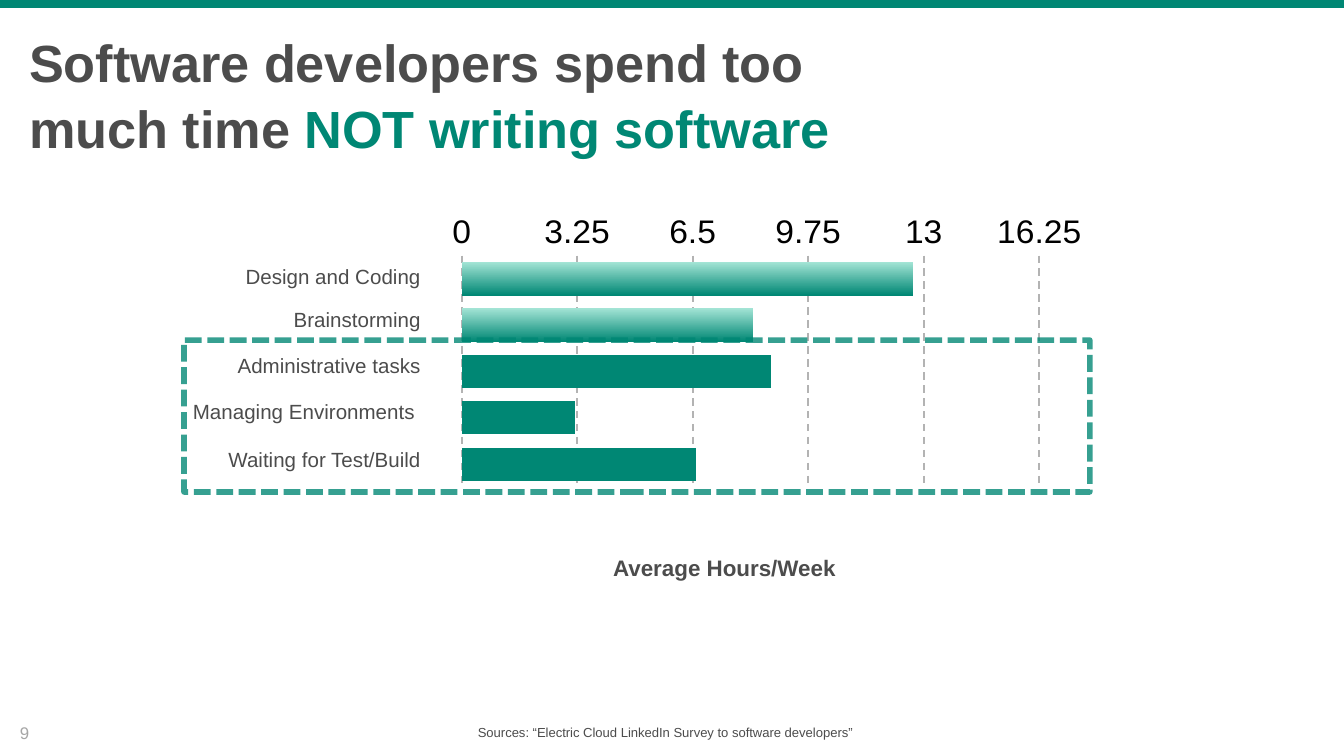
from lxml import etree
from pptx import Presentation
from pptx.chart.data import CategoryChartData
from pptx.dml.color import RGBColor
from pptx.enum.chart import XL_AXIS_CROSSES, XL_CHART_TYPE, XL_TICK_MARK
from pptx.enum.dml import MSO_LINE
from pptx.enum.shapes import MSO_SHAPE
from pptx.enum.text import MSO_ANCHOR, PP_ALIGN
from pptx.oxml.ns import qn
from pptx.util import Pt

LEFT, CENTER, RIGHT = PP_ALIGN.LEFT, PP_ALIGN.CENTER, PP_ALIGN.RIGHT
TOP, MIDDLE = MSO_ANCHOR.TOP, MSO_ANCHOR.MIDDLE
RECTANGLE = MSO_SHAPE.RECTANGLE
BAR = XL_CHART_TYPE.BAR_CLUSTERED
NO_TICKS = XL_TICK_MARK.NONE
AT_MAXIMUM = XL_AXIS_CROSSES.MAXIMUM
GRID_DASH, FRAME_DASH = MSO_LINE.DASH, MSO_LINE.SQUARE_DOT
FONT = "Arial"
COLORS = {
    "green": "008774", "mint": "A3E4D5", "teal": "00AE9E", "text": "4C4C4C",
    "grid": "B3B3B3", "number": "A6A6A6", "black": "000000",
}
# Activity, average hours per week, top of its label
ACTIVITIES = [
    ("Design and Coding", 12.7, 137.5),
    ("Brainstorming", 8.2, 160.5),
    ("Administrative tasks", 8.7, 185),
    ("Managing Environments ", 3.2, 209.5),
    ("Waiting for Test/Build", 6.6, 235.5),
]
SOFTWARE_WORK = 2  # the first activities, drawn with a gradient
HOURS_STEP = 3.25


def color(key):
    return RGBColor.from_string(COLORS[key])


def format_font(font, size, key="text", bold=False):
    font.name, font.size, font.bold = FONT, Pt(size), bold
    font.color.rgb = color(key)


def add_run(paragraph, text, **style):
    run = paragraph.add_run()
    run.text = text
    format_font(run.font, **style)


class SlideBuilder:
    def __init__(self, slide):
        self.slide = slide

    def text(self, box, runs, align=LEFT, anchor=MIDDLE, inset=4.3, wrap=True,
             line_spacing=None, space_after=None):
        """Add one paragraph; runs holds pairs of text and font format."""
        frame = self.slide.shapes.add_textbox(*map(Pt, box)).text_frame
        frame.word_wrap, frame.vertical_anchor = wrap, anchor
        frame.margin_left = frame.margin_right = Pt(inset)
        frame.margin_top = frame.margin_bottom = Pt(min(inset, 4.3))
        paragraph = frame.paragraphs[0]
        paragraph.alignment = align
        paragraph.line_spacing = line_spacing
        if space_after is not None:
            paragraph.space_after = Pt(space_after)
        for words, style in runs:
            add_run(paragraph, words, **style)

    def rectangle(self, box):
        shape = self.slide.shapes.add_shape(RECTANGLE, *map(Pt, box))
        shape.shadow.inherit = False
        return shape

    def band(self, box):
        band = self.rectangle(box)
        band.fill.solid()
        band.fill.fore_color.rgb = color("green")
        band.line.fill.background()

    def dashed_frame(self, box, width, opacity):
        frame = self.rectangle(box)
        frame.fill.background()
        line = frame.line
        line.width, line.color.rgb = Pt(width), color("green")
        line.dash_style = FRAME_DASH
        rgb = next(line._ln.iter(qn("a:srgbClr")))
        etree.SubElement(rgb, qn("a:alpha"), val=str(opacity * 1000))

    def bar_chart(self, box, plot_area):
        data = CategoryChartData()
        data.categories = [str(i + 1) for i in range(len(ACTIVITIES))]
        data.add_series("Series 1", [hours for _, hours, _ in ACTIVITIES])
        chart = self.slide.shapes.add_chart(BAR, *map(Pt, box), data).chart
        chart.has_legend = chart.has_title = False
        format_font(chart.font, 10, "black")
        self.format_axes(chart)
        self.format_bars(chart.plots[0])
        self.place_plot(chart, plot_area)

    def format_axes(self, chart):
        activity_axis, hours_axis = chart.category_axis, chart.value_axis
        activity_axis.reverse_order = True
        activity_axis.crosses = AT_MAXIMUM
        activity_axis.visible = False
        hours_axis.minimum_scale = 0
        hours_axis.maximum_scale = 5 * HOURS_STEP
        hours_axis.major_unit = HOURS_STEP
        hours_axis.major_tick_mark = hours_axis.minor_tick_mark = NO_TICKS
        hours_axis.format.line.fill.background()
        labels = hours_axis.tick_labels
        labels.number_format, labels.number_format_is_linked = "General", False
        format_font(labels.font, 18, "black")
        grid = hours_axis.major_gridlines.format.line
        grid.width, grid.color.rgb = Pt(1), color("grid")
        grid.dash_style = GRID_DASH

    def format_bars(self, plot):
        plot.gap_width, plot.overlap = 40, -10
        plot.vary_by_categories = False
        series = plot.series[0]
        series.invert_if_negative = False
        series.format.fill.solid()
        series.format.fill.fore_color.rgb = color("teal")
        for i in range(len(ACTIVITIES)):
            fill = series.points[i].format.fill
            if i < SOFTWARE_WORK:
                fill.gradient()
                fill.gradient_angle = 270
                for stop, key in zip(fill.gradient_stops, ("mint", "green")):
                    stop.color.rgb = color(key)
            else:
                fill.solid()
                fill.fore_color.rgb = color("green")

    def place_plot(self, chart, fractions):
        """Fix the inner plot area at fractions of the chart's size."""
        plot_area = next(chart._chartSpace.iter(qn("c:plotArea")))
        for old in plot_area.findall(qn("c:layout")):
            plot_area.remove(old)
        layout = etree.Element(qn("c:layout"))
        manual = etree.SubElement(layout, qn("c:manualLayout"))
        settings = [("layoutTarget", "inner"), ("xMode", "edge"), ("yMode", "edge")]
        settings += zip("xywh", map(str, fractions))
        for tag, value in settings:
            etree.SubElement(manual, qn(f"c:{tag}"), val=value)
        plot_area.insert(0, layout)


def main():
    presentation = Presentation()
    presentation.slide_width, presentation.slide_height = Pt(720), Pt(405)
    builder = SlideBuilder(presentation.slides.add_slide(presentation.slide_layouts[6]))

    builder.band((0, 0, 720, 4.3))
    builder.bar_chart((123.8, 114.5, 561.6, 241.9), (0.22, 0.065, 0.551, 0.529))
    builder.text(
        (251.3, 386.6, 210.2, 11.5),
        [("Sources: “Electric Cloud LinkedIn Survey to software developers”", {"size": 7})],
        align=CENTER, inset=1.4, wrap=False)
    for activity, _, top in ACTIVITIES:
        builder.text((77.8, top, 151.9, 21.6), [(activity, {"size": 11})], align=RIGHT)
    builder.text((273.6, 293, 229, 22.3),
                 [("Average Hours/Week", {"size": 12, "bold": True})], align=CENTER)
    builder.text(
        (8.6, 11.5, 506.9, 77),
        [("Software developers spend too much time ", {"size": 28, "bold": True}),
         ("NOT writing software", {"size": 28, "bold": True, "key": "green"})],
        inset=7.2, line_spacing=1.05, space_after=3)
    builder.text((3.6, 383, 29.5, 21.6), [("9", {"size": 9, "key": "number"})],
                 anchor=TOP, inset=7.2)
    builder.dashed_frame((98.6, 182.2, 485.3, 81.4), width=3, opacity=78)

    presentation.save("out.pptx")


if __name__ == "__main__":
    main()
